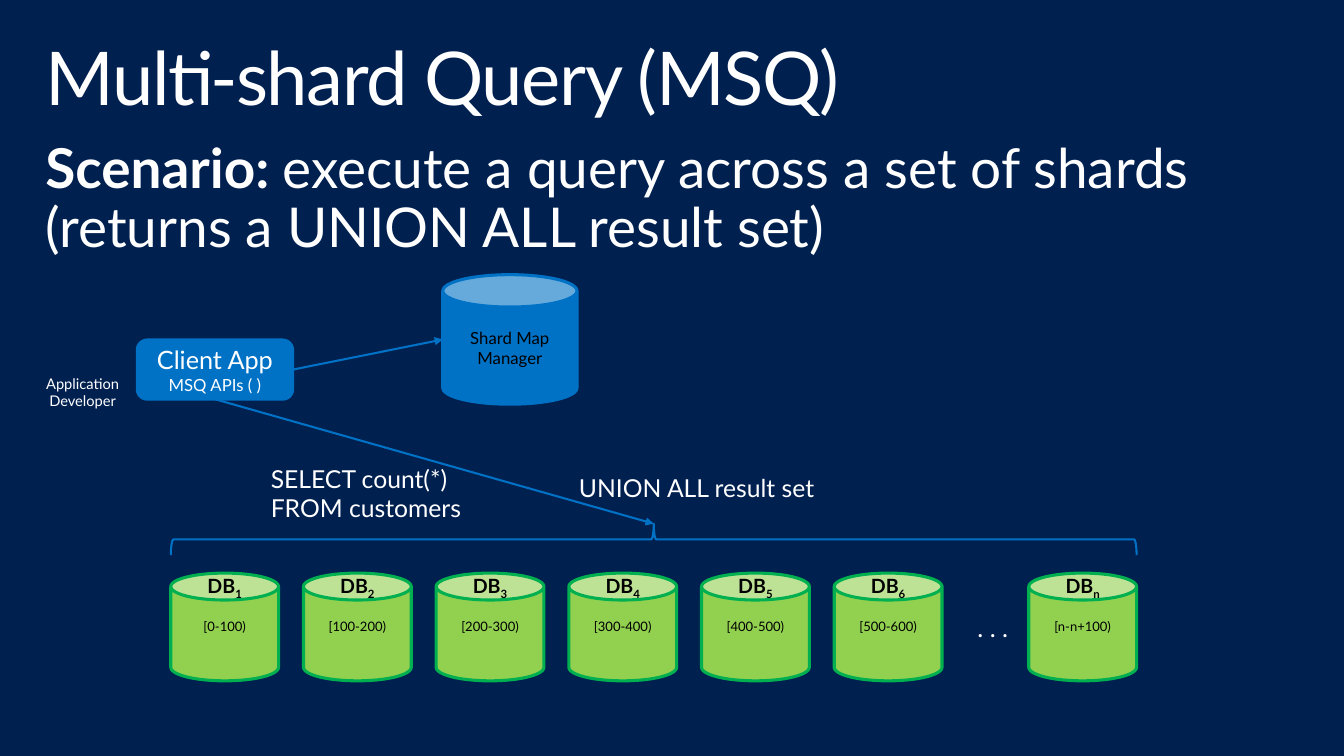
from lxml.etree import SubElement
from pptx import Presentation
from pptx.dml.color import RGBColor
from pptx.enum.shapes import MSO_CONNECTOR, MSO_SHAPE
from pptx.enum.text import MSO_ANCHOR, PP_ALIGN
from pptx.oxml.ns import qn
from pptx.util import Cm, Pt

NAVY = RGBColor(0x00, 0x20, 0x50)
BLUE = RGBColor(0x00, 0x72, 0xC6)
LIME = RGBColor(0x92, 0xD0, 0x50)
GREEN = RGBColor(0x00, 0xB0, 0x50)
WHITE = RGBColor(0xFF, 0xFF, 0xFF)
BLACK = RGBColor(0x00, 0x00, 0x00)
FONT = "Lato"

TITLE = "Multi-shard Query (MSQ)"
SCENARIO = ("Scenario: ", "execute a query across a set of shards (returns a UNION ALL result set)")
CLIENT = [("Client App", 18.4), ("MSQ APIs ( )", 12.2)]
LABELS = [
    ([("Application", 10.7), ("Developer", 10.7)], (0.84, 9.5, 2.57, 1.19), PP_ALIGN.CENTER),
    ([("SELECT count(*)", 18), ("FROM customers", 18)], (6.71, 11.79, 7.57, 1.8), PP_ALIGN.LEFT),
    ([("UNION ALL result set", 18)], (14.63, 12.04, 7.57, 1.02), PP_ALIGN.LEFT),
    ([(". . .", 18.4)], (24.87, 15.6, 3.71, 1.07), PP_ALIGN.LEFT),
]
SHARDS = [
    ("1", "[0-100)"), ("2", "[100-200)"), ("3", "[200-300)"), ("4", "[300-400)"),
    ("5", "[400-500)"), ("6", "[500-600)"), ("n", "[n-n+100)"),
]

SHARD_LEFT, SHARD_TOP, SHARD_SIZE, SHARD_STEP = 4.39, 14.73, 2.77, 3.41
LAST_SHARD_LEFT = 26.44
BRACE_TOP, BRACE_HEIGHT = 13.46, 0.81
BRACE_WIDTH = LAST_SHARD_LEFT + SHARD_SIZE - SHARD_LEFT
BRACE_MIDDLE = SHARD_LEFT + BRACE_WIDTH / 2
MAP_LEFT, MAP_TOP, MAP_WIDTH, MAP_HEIGHT = 11.38, 7.06, 3.45, 3.33


def box(left, top, width, height):
    return Cm(left), Cm(top), Cm(width), Cm(height)


def style(paragraph, size, color, align=PP_ALIGN.LEFT):
    paragraph.alignment = align
    paragraph.font.name = FONT
    paragraph.font.size = Pt(size)
    paragraph.font.color.rgb = color


def write(frame, lines, color, align):
    for index, (text, size) in enumerate(lines):
        paragraph = frame.add_paragraph() if index else frame.paragraphs[0]
        paragraph.text = text
        style(paragraph, size, color, align)


def add_block(kind, place, fill, outline):
    block = slide.shapes.add_shape(kind, *box(*place))
    block.shadow.inherit = False
    block.fill.solid()
    block.fill.fore_color.rgb = fill
    block.line.color.rgb = outline
    block.line.width = Pt(2.25)
    frame = block.text_frame
    frame.word_wrap = True
    frame.vertical_anchor = MSO_ANCHOR.MIDDLE
    frame.margin_left = frame.margin_right = 0
    return block


def add_heading_frame(frame):
    frame.word_wrap = True
    frame.vertical_anchor = MSO_ANCHOR.TOP
    frame.margin_left = frame.margin_right = Cm(0.41)
    frame.margin_top = frame.margin_bottom = Cm(0.25)
    frame.paragraphs[0].line_spacing = 0.9
    return frame.paragraphs[0]


def add_arrow(source, site, x, y):
    arrow = slide.shapes.add_connector(MSO_CONNECTOR.STRAIGHT, 0, 0, Cm(x), Cm(y))
    arrow.begin_connect(source, site)
    arrow.line.color.rgb = BLUE
    arrow.line.width = Pt(1.5)
    SubElement(arrow.line._get_or_add_ln(), qn("a:tailEnd"), type="triangle")
    SubElement(arrow._element.spPr, qn("a:effectLst"))


def add_shard(left, number, key_range):
    shard = add_block(MSO_SHAPE.CAN, (left, SHARD_TOP, SHARD_SIZE, SHARD_SIZE), LIME, GREEN)
    frame = shard.text_frame
    frame.vertical_anchor = MSO_ANCHOR.BOTTOM
    frame.margin_top = 0
    frame.margin_bottom = Cm(0.86)
    name = frame.paragraphs[0]
    style(name, 14.3, BLACK, PP_ALIGN.CENTER)
    name.font.bold = True
    name.add_run().text = "DB"
    subscript = name.add_run()
    subscript.text = number
    subscript.font._element.set("baseline", "-25000")
    keys = frame.add_paragraph()
    keys.text = key_range
    keys.space_before = Pt(13)
    style(keys, 9.5, BLACK, PP_ALIGN.CENTER)


prs = Presentation()
prs.slide_width, prs.slide_height = Cm(34.54), Cm(19.43)
slide = prs.slides.add_slide(prs.slide_layouts[5])
slide.background.fill.solid()
slide.background.fill.fore_color.rgb = NAVY

title = slide.shapes.title
title.left, title.top, title.width, title.height = box(0.76, 0.81, 33.02, 2.54)
heading = add_heading_frame(title.text_frame)
heading.text = TITLE
style(heading, 54, WHITE)
heading.runs[0].font._element.set("spc", "-100")

scenario = slide.shapes.add_textbox(*box(0.76, 3.38, 33.02, 5.72))
sentence = add_heading_frame(scenario.text_frame)
style(sentence, 40, WHITE)
for part in SCENARIO:
    sentence.add_run().text = part
sentence.runs[0].font.bold = True

client = add_block(MSO_SHAPE.ROUNDED_RECTANGLE, (3.53, 8.74, 3.99, 1.52), BLUE, BLUE)
write(client.text_frame, CLIENT, WHITE, PP_ALIGN.CENTER)

shard_map = add_block(MSO_SHAPE.CAN, (MAP_LEFT, MAP_TOP, MAP_WIDTH, MAP_HEIGHT), BLUE, BLUE)
write(shard_map.text_frame, [("Shard Map Manager", 12.2)], BLACK, PP_ALIGN.CENTER)

add_arrow(client, 3, MAP_LEFT, MAP_TOP + MAP_HEIGHT / 2)
add_arrow(client, 2, BRACE_MIDDLE, BRACE_TOP)

brace = slide.shapes.add_shape(MSO_SHAPE.LEFT_BRACE, *box(
    BRACE_MIDDLE - BRACE_HEIGHT / 2, BRACE_TOP + (BRACE_HEIGHT - BRACE_WIDTH) / 2,
    BRACE_HEIGHT, BRACE_WIDTH))
brace.rotation = 90
brace.shadow.inherit = False
brace.fill.background()
brace.line.color.rgb = BLUE
brace.line.width = Pt(1.5)

for lines, place, align in LABELS:
    label = slide.shapes.add_textbox(*box(*place))
    label.text_frame.word_wrap = True
    write(label.text_frame, lines, WHITE, align)

for index, (number, key_range) in enumerate(SHARDS):
    is_last = index == len(SHARDS) - 1
    add_shard(LAST_SHARD_LEFT if is_last else SHARD_LEFT + index * SHARD_STEP, number, key_range)

prs.save("out.pptx")
